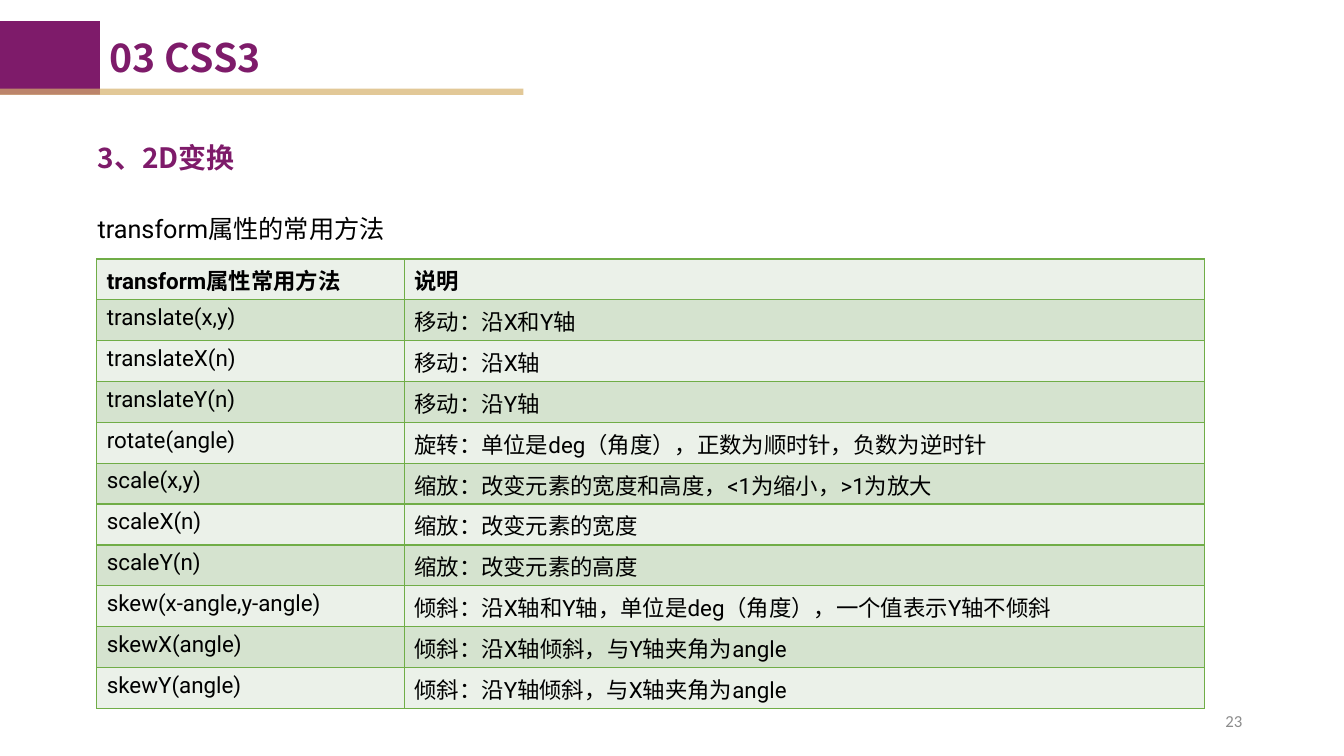
from lxml import etree
from pptx import Presentation
from pptx.dml.color import RGBColor
from pptx.enum.shapes import MSO_CONNECTOR, MSO_SHAPE
from pptx.enum.text import MSO_ANCHOR, PP_ALIGN
from pptx.oxml.ns import qn
from pptx.util import Inches, Pt

LEFT, RIGHT, JUSTIFY = PP_ALIGN.LEFT, PP_ALIGN.RIGHT, PP_ALIGN.JUSTIFY
TOP, MIDDLE = MSO_ANCHOR.TOP, MSO_ANCHOR.MIDDLE
RECT, STRAIGHT = MSO_SHAPE.RECTANGLE, MSO_CONNECTOR.STRAIGHT
WIDE, HIGH = Inches(13.33), Inches(7.5)
HAN, LATIN = "Noto Sans CJK SC", "Roboto"
PURPLE, GOLD, GREEN, GRAY, BLACK = "7E1B6A", "D7B26C", "70AD47", "8C8C8C", "000000"
BANDS = ("EBF1E9", "D5E3CF")
COLS, ROW = (3.05, 7.94), 4.46 / 11
METHODS = [
    ("transform属性常用方法", "说明"),
    ("translate(x,y)", "移动：沿X和Y轴"),
    ("translateX(n)", "移动：沿X轴"),
    ("translateY(n)", "移动：沿Y轴"),
    ("rotate(angle)", "旋转：单位是deg（角度），正数为顺时针，负数为逆时针"),
    ("scale(x,y)", "缩放：改变元素的宽度和高度，<1为缩小，>1为放大"),
    ("scaleX(n)", "缩放：改变元素的宽度"),
    ("scaleY(n)", "缩放：改变元素的高度"),
    ("skew(x-angle,y-angle)", "倾斜：沿X轴和Y轴，单位是deg（角度），一个值表示Y轴不倾斜"),
    ("skewX(angle)", "倾斜：沿X轴倾斜，与Y轴夹角为angle"),
    ("skewY(angle)", "倾斜：沿Y轴倾斜，与X轴夹角为angle"),
]


def paint(target, color):
    """Give a fill or line format a solid colour."""
    target.solid()
    target.fore_color.rgb = RGBColor.from_string(color)


def write(frame, text, size, color, face=LATIN, bold=False, align=LEFT, anchor=TOP):
    """Fill a text frame with one styled paragraph."""
    frame.word_wrap = True
    frame.vertical_anchor = anchor
    para = frame.paragraphs[0]
    para.text = text
    para.alignment = align
    font = para.font
    font.name, font.size, font.bold = face, Pt(size), bold
    paint(font.fill, color)
    style = para._p.pPr.find(qn("a:defRPr"))
    etree.SubElement(style, qn("a:ea"), typeface=HAN)
    return para


def place(shape, left, top, width, height):
    """Move and size a shape in inches."""
    shape.left, shape.top = Inches(left), Inches(top)
    shape.width, shape.height = Inches(width), Inches(height)


def label(slide, box, *args, **style):
    """Add a text box holding one paragraph."""
    shape = slide.shapes.add_textbox(*map(Inches, box))
    return write(shape.text_frame, *args, **style)


def banner(slide):
    """Draw the purple block and the gold rule."""
    block = slide.shapes.add_shape(RECT, 0, Inches(0.21), Inches(0.99), Inches(0.73))
    block.shadow.inherit = False
    paint(block.fill, PURPLE)
    block.line.fill.background()
    rule = slide.shapes.add_connector(
        STRAIGHT, Inches(-0.01), Inches(0.91), Inches(5.19), Inches(0.91))
    rule.line.width = Pt(4.5)
    paint(rule.line.fill, GOLD)
    tint = rule.line._ln.find(".//" + qn("a:srgbClr"))
    etree.SubElement(tint, qn("a:alpha"), val="70000")
    etree.SubElement(rule._element.spPr, qn("a:effectLst"))


def border(cell):
    """Outline a table cell in green."""
    props = cell._tc.get_or_add_tcPr()
    for side in "LRTB":
        line = etree.SubElement(props, qn("a:ln" + side), w=str(Pt(1)))
        fill = etree.SubElement(line, qn("a:solidFill"))
        etree.SubElement(fill, qn("a:srgbClr"), val=GREEN)


def grid(slide, left, top):
    """Add the banded table of methods."""
    table = slide.shapes.add_table(
        len(METHODS), len(COLS), Inches(left), Inches(top),
        Inches(sum(COLS)), Inches(ROW * len(METHODS))).table
    for col, width in zip(table.columns, COLS):
        col.width = Inches(width)
    for i, words in enumerate(METHODS):
        table.rows[i].height = Inches(ROW)
        for j, text in enumerate(words):
            cell = table.cell(i, j)
            cell.margin_bottom = Inches(0.03)
            border(cell)
            paint(cell.fill, BANDS[i % 2])
            write(cell.text_frame, text, 16, BLACK, bold=i == 0)


def main():
    """Build and save the slide."""
    deck = Presentation()
    deck.slide_width, deck.slide_height = WIDE, HIGH
    slide = deck.slides.add_slide(deck.slide_layouts[5])
    title = slide.shapes.title
    place(title, 0.99, 0.28, 5.17, 0.57)
    write(title.text_frame, "03 CSS3", 28, PURPLE, HAN, True)
    banner(slide)
    label(slide, (9.42, 6.95, 3, 0.4), "23", 12, GRAY, "Calibri",
          align=RIGHT, anchor=MIDDLE)
    label(slide, (0.87, 1.34, 12.04, 0.44), "3、2D变换", 20, PURPLE, HAN, True,
          align=JUSTIFY)
    intro = label(slide, (0.87, 1.92, 10.77, 0.51), "transform属性的常用方法", 18, BLACK)
    intro.line_spacing = 1.5
    grid(slide, 0.96, 2.57)
    deck.save("out.pptx")


if __name__ == "__main__":
    main()
